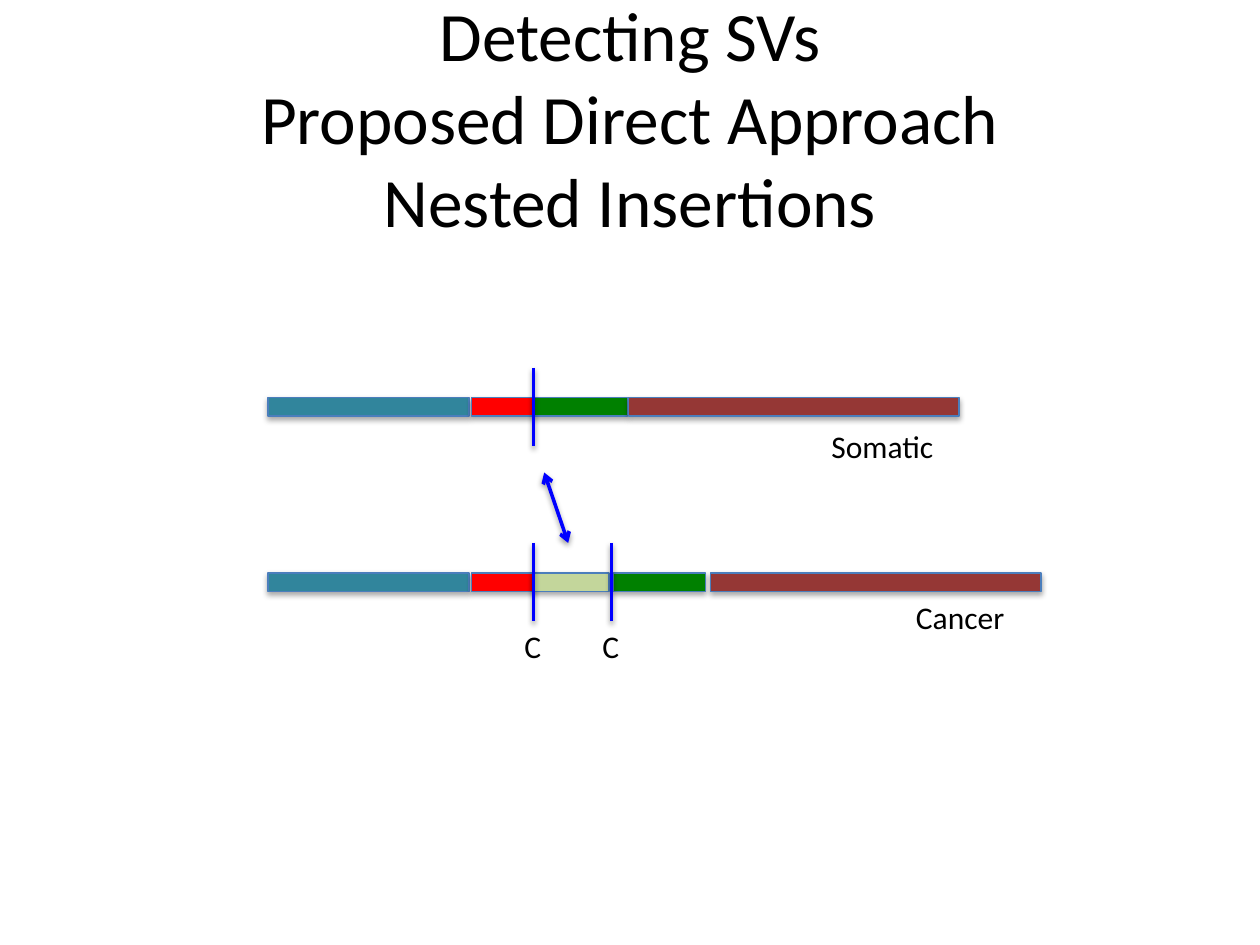
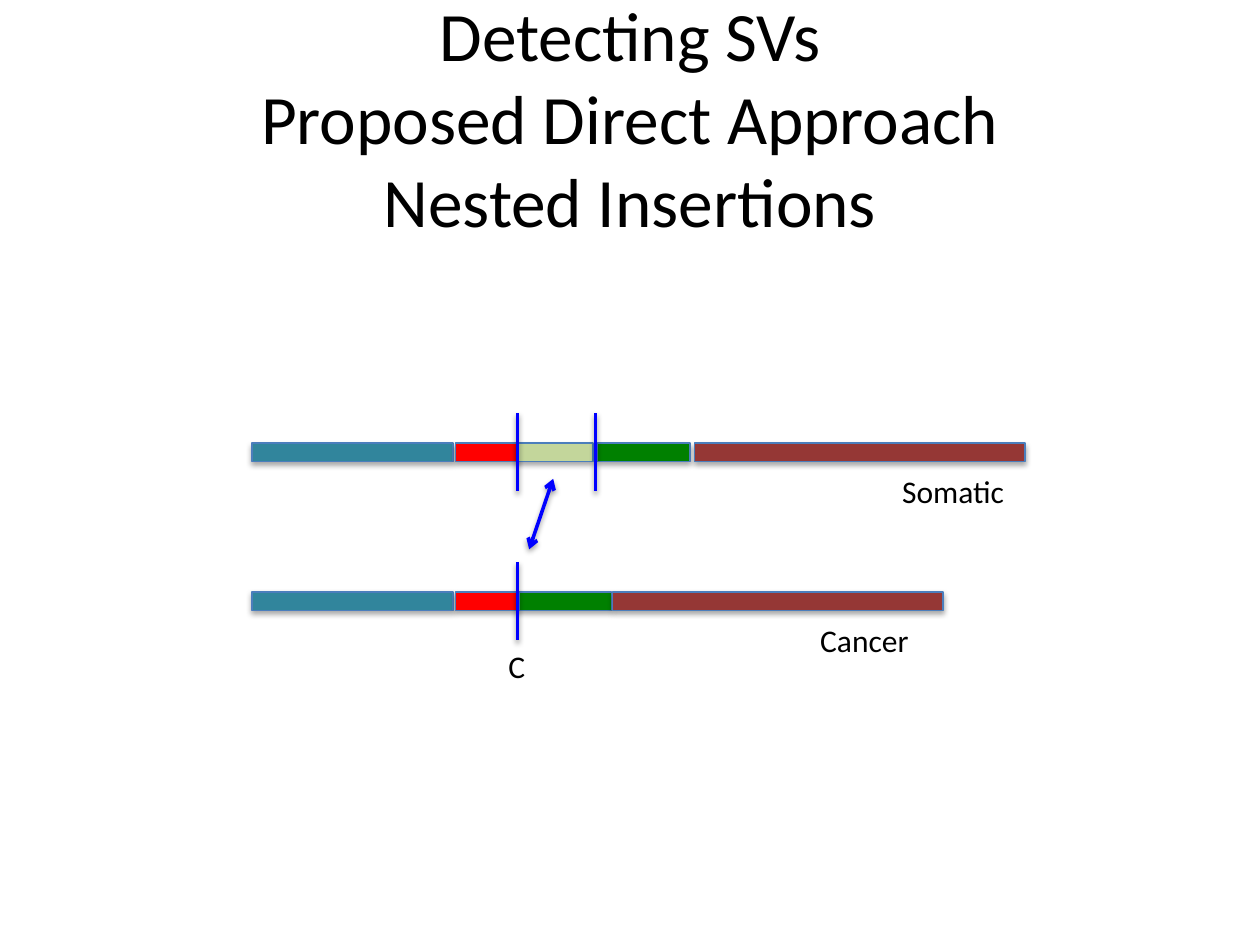
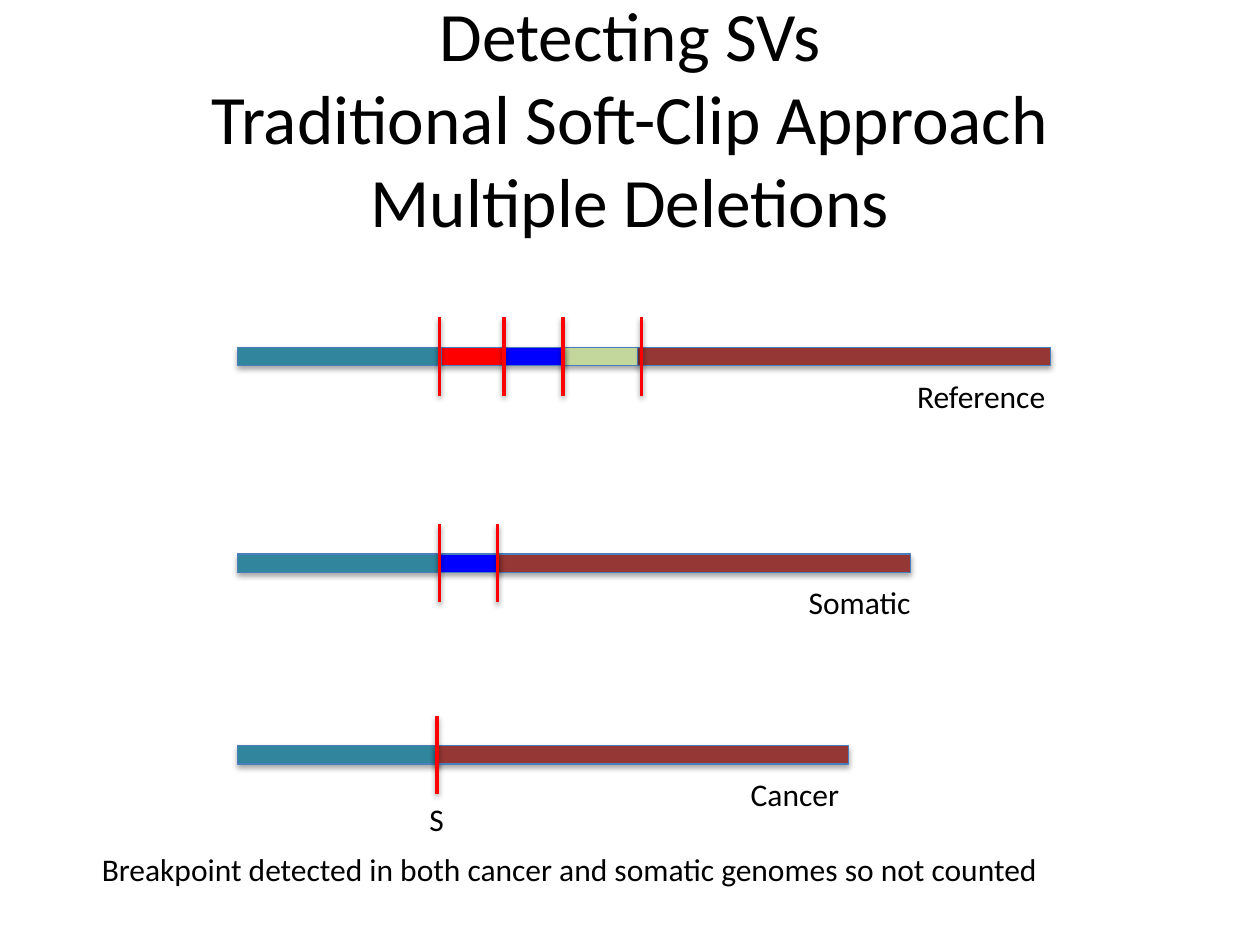
from lxml import etree
from pptx import Presentation
from pptx.dml.color import RGBColor
from pptx.enum.shapes import MSO_CONNECTOR, MSO_SHAPE
from pptx.enum.text import MSO_ANCHOR, MSO_AUTO_SIZE, PP_ALIGN
from pptx.oxml.ns import qn
from pptx.util import Pt

BAR = MSO_SHAPE.MATH_MINUS
STRAIGHT = MSO_CONNECTOR.STRAIGHT
MIDDLE = MSO_ANCHOR.MIDDLE
NO_FIT, GROW = MSO_AUTO_SIZE.NONE, MSO_AUTO_SIZE.SHAPE_TO_FIT_TEXT
CENTER = PP_ALIGN.CENTER

COLORS = {"text": "000000", "outline": "4B7EBC", "teal": "31859C", "red": "FF0000",
          "green": "008000", "maroon": "953735", "sage": "C3D69B", "blue": "0000FF"}
WIDTHS = {"teal": 156.2, "red": 48.2, "green": 72, "maroon": 257, "sage": 58.3, "blue": 45.4}
LABEL_WIDTHS = {"Reference": 88.6, "Somatic": 73.4, "Cancer": 65.5, "C": 24.5, "S": 23}
LONG_MAROON = 321
TRACK_HEIGHT = 44.7
LABEL_DROP = 30.2
LABEL_HEIGHT = 29
TITLE_BOX = (36, 21.6, 648, 90)
TITLE_FONT = {"name": "Calibri", "size": Pt(39.6), "bold": False}
LABEL_FONT = {"name": "Calibri", "size": Pt(18)}
TITLE_FRAME = {"auto_size": NO_FIT, "vertical_anchor": MIDDLE, "word_wrap": True}
LABEL_FRAME = {"auto_size": GROW, "word_wrap": False}

WHOLE = [("teal", 0), ("red", 130.5), ("green", 163.6), ("maroon", 192.6)]
INSERTED = [("teal", 0), ("red", 130.5), ("green", 208.4), ("maroon", 239.4), ("sage", 164.9)]
JOIN, INSERT_END = 172.3, 216.9


def rgb(color):
    """Return the named colour."""
    return RGBColor.from_string(COLORS[color])


def apply(target, values):
    """Set every attribute in a dict of format values."""
    for attribute, value in values.items():
        setattr(target, attribute, value)


def add_shadow(part, distance, opacity):
    """Give a shape or connector a soft shadow straight below it."""
    properties = part._element.spPr
    for inherited in properties.findall(qn("a:effectLst")):
        properties.remove(inherited)
    effects = etree.SubElement(properties, qn("a:effectLst"))
    shadow = etree.SubElement(effects, qn("a:outerShdw"), blurRad=str(Pt(3.15)),
                              dist=str(Pt(distance)), dir="5400000", rotWithShape="0")
    black = etree.SubElement(shadow, qn("a:srgbClr"), val=COLORS["text"])
    etree.SubElement(black, qn("a:alpha"), val=str(opacity * 1000))


def add_title_slide(deck, lines):
    """Add a title-only slide with a centred title of several lines."""
    slide = deck.slides.add_slide(deck.slide_layouts[5])
    title = slide.shapes.title
    apply(title, dict(zip(("left", "top", "width", "height"), map(Pt, TITLE_BOX))))
    frame = title.text_frame
    frame.text = "\v".join(lines)
    apply(frame, TITLE_FRAME)
    paragraph = frame.paragraphs[0]
    paragraph.alignment = CENTER
    for run in paragraph.runs:
        apply(run.font, TITLE_FONT)
        run.font.color.rgb = rgb("text")
    return slide


def add_label(slide, left, top, wording, width):
    """Add one line of plain text."""
    label = slide.shapes.add_textbox(Pt(left), Pt(top), Pt(width), Pt(LABEL_HEIGHT))
    apply(label.text_frame, LABEL_FRAME)
    run = label.text_frame.paragraphs[0].add_run()
    run.text = wording
    apply(run.font, LABEL_FONT)
    run.font.color.rgb = rgb("text")


def add_segment(slide, left, top, width, color):
    """Add one coloured stretch of a genome."""
    segment = slide.shapes.add_shape(BAR, Pt(left), Pt(top), Pt(width), Pt(TRACK_HEIGHT))
    segment.fill.solid()
    segment.fill.fore_color.rgb = rgb(color)
    segment.line.color.rgb = rgb("outline")
    segment.line.width = Pt(0.75)
    add_shadow(segment, 1.8, 35)


def add_line(slide, start, end, color, arrows=False):
    """Add a breakpoint line, or a link with arrowheads at both ends."""
    line = slide.shapes.add_connector(STRAIGHT, *map(Pt, start + end))
    line.line.color.rgb = rgb(color)
    line.line.width = Pt(2)
    if arrows:
        for tag in ("a:headEnd", "a:tailEnd"):
            etree.SubElement(line.line._get_or_add_ln(), qn(tag), type="arrow")
    add_shadow(line, 1.6, 38)


def add_track(slide, left, top, segments, breaks, color, name, name_left,
              mark="", maroon=WIDTHS["maroon"], drop=LABEL_DROP):
    """Draw a genome with its segments, breakpoints, marks and name."""
    widths = {**WIDTHS, "maroon": maroon}
    bottom = top + TRACK_HEIGHT
    for segment, offset in segments:
        add_segment(slide, left + offset, top, widths[segment], segment)
    for offset in breaks:
        x = left + offset
        add_line(slide, (x, top), (x, bottom), color)
        if mark:
            width = LABEL_WIDTHS[mark]
            add_label(slide, x - width / 2, bottom, mark, width)
    add_label(slide, left + name_left, top + drop, name, LABEL_WIDTHS[name])


def build_cancer_insertion(deck):
    """Build the slide whose insertion is in the cancer genome."""
    slide = add_title_slide(deck, ["Detecting SVs", "Proposed Direct Approach", "Nested Insertions"])
    left = 132.5
    add_track(slide, left, 210.2, WHOLE, [JOIN], "blue", "Somatic", 335.5)
    add_track(slide, left, 310.3, INSERTED, [JOIN, INSERT_END], "blue", "Cancer", 383.8,
              mark="C", drop=28)
    add_line(slide, (311, 270), (324.7, 310.3), "blue", arrows=True)


def build_somatic_insertion(deck):
    """Build the slide whose insertion is in the somatic genome."""
    slide = add_title_slide(deck, ["Detecting SVs", "Proposed Direct Approach", "Nested Insertions"])
    left = 123.4
    add_track(slide, left, 236.1, INSERTED, [JOIN, INSERT_END], "blue", "Somatic", 385)
    add_track(slide, left, 321.2, WHOLE, [JOIN], "blue", "Cancer", 338.2, mark="C")
    add_line(slide, (316.1, 273.6), (302.4, 313.9), "blue", arrows=True)


def build_multiple_deletions(deck):
    """Build the slide that compares deletions in three genomes."""
    slide = add_title_slide(deck, ["Detecting SVs", "Traditional Soft-Clip Approach", "Multiple Deletions"])
    left = 115.2
    reference = [("teal", 0), ("red", 130.5), ("maroon", 206.6), ("sage", 198.7), ("blue", 167.8)]
    somatic = [("teal", 0), ("maroon", 126.7), ("blue", 130.5)]
    cancer = [("teal", 0), ("maroon", 91.4)]
    add_track(slide, left, 181.4, reference, [136, 172.8, 206.6, 251.3], "red",
              "Reference", 401.8, maroon=LONG_MAROON)
    add_track(slide, left, 299.5, somatic, [136, 169.2], "red", "Somatic", 339.8,
              maroon=LONG_MAROON)
    add_track(slide, left, 409, cancer, [134.6], "red", "Cancer", 306.7, mark="S",
              maroon=LONG_MAROON)
    add_label(slide, 51.1, 482.4,
              "Breakpoint detected in both cancer and somatic genomes so not counted", 554.4)


def main():
    """Build and save the presentation."""
    deck = Presentation()
    deck.slide_width, deck.slide_height = Pt(720), Pt(540)
    build_cancer_insertion(deck)
    build_somatic_insertion(deck)
    build_multiple_deletions(deck)
    deck.save("out.pptx")


main()
